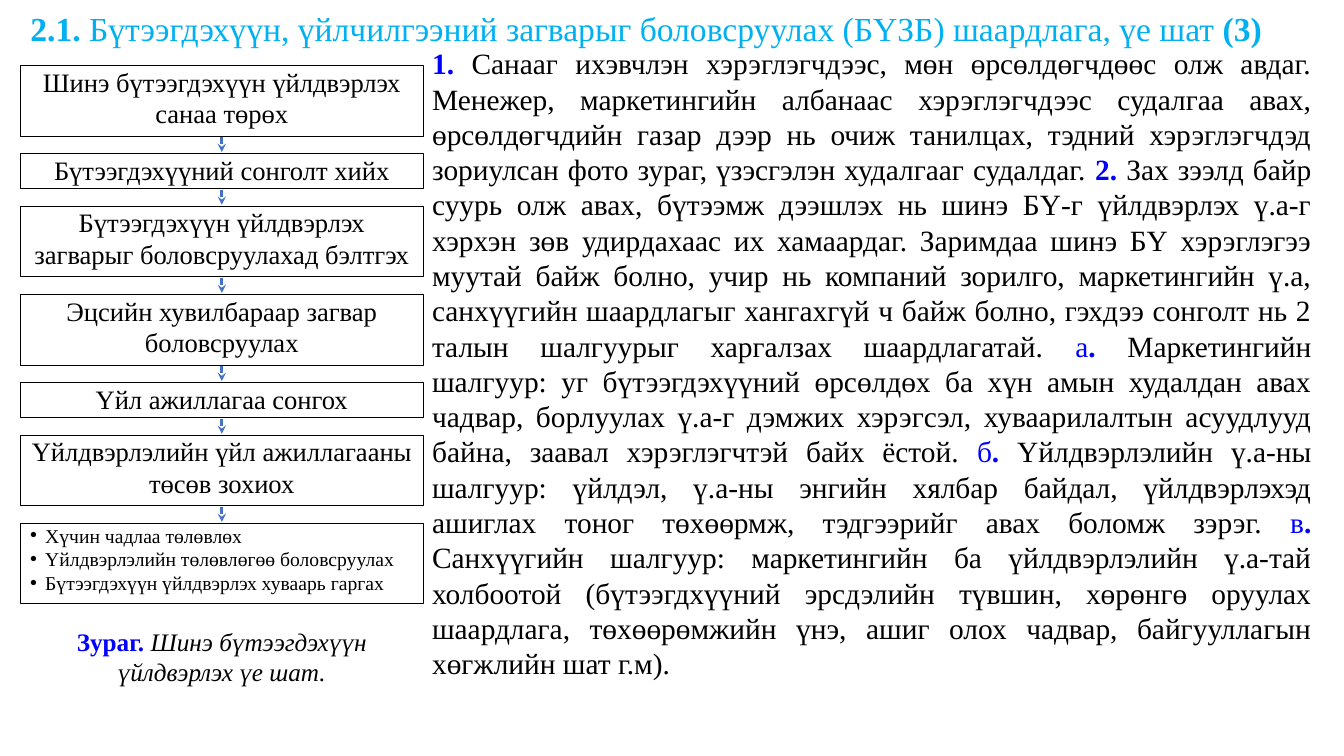
from lxml.etree import SubElement
from pptx import Presentation
from pptx.dml.color import RGBColor
from pptx.enum.shapes import MSO_CONNECTOR as Connector, MSO_SHAPE as Shape
from pptx.enum.text import MSO_ANCHOR as Anchor, MSO_AUTO_SIZE as AutoSize, PP_ALIGN as Align
from pptx.oxml.ns import qn
from pptx.util import Cm, Pt

COLORS = {"title": "00B0F0", "accent": "0000FF", "text": "000000", "arrow": "4472C4"}
FONT = "Times New Roman"
LEFT, WIDTH, TOP, GAP = 0.51, 10.16, 1.65, 0.44
ONE_LINE, TWO_LINES, LIST_HEIGHT = 0.89, 1.78, 2.03
INDENT = Cm(0.38)

STEPS = [
    ("Шинэ бүтээгдэхүүн үйлдвэрлэх санаа төрөх", TWO_LINES),
    ("Бүтээгдэхүүний сонголт хийх", ONE_LINE),
    ("Бүтээгдэхүүн үйлдвэрлэх загварыг боловсруулахад бэлтгэх", TWO_LINES),
    ("Эцсийн хувилбараар загвар боловсруулах", TWO_LINES),
    ("Үйл ажиллагаа сонгох", ONE_LINE),
    ("Үйлдвэрлэлийн үйл ажиллагааны төсөв зохиох", TWO_LINES),
]
PLANS = [
    "Хүчин чадлаа төлөвлөх",
    "Үйлдвэрлэлийн төлөвлөгөө боловсруулах",
    "Бүтээгдэхүүн үйлдвэрлэх хуваарь гаргах",
]

STRONG = {"color": "accent", "bold": True}
LETTER = {"color": "accent"}
TITLE = [
    ("2.1. ", {"bold": True}),
    ("Бүтээгдэхүүн, үйлчилгээний загварыг боловсруулах (БҮЗБ) шаардлага, үе шат ", {}),
    ("(3)", {"bold": True}),
]
CAPTION = [("Зураг. ", STRONG), ("Шинэ бүтээгдэхүүн үйлдвэрлэх үе шат.", {"italic": True})]
BODY = [
    ("1.", STRONG),
    (" Санааг ихэвчлэн хэрэглэгчдээс, мөн өрсөлдөгчдөөс олж авдаг. Менежер, маркетингийн "
     "албанаас хэрэглэгчдээс судалгаа авах, өрсөлдөгчдийн газар дээр нь очиж танилцах, тэдний "
     "хэрэглэгчдэд зориулсан фото зураг, үзэсгэлэн худалгааг судалдаг. ", {}),
    ("2. ", STRONG),
    ("Зах зээлд байр суурь олж авах, бүтээмж дээшлэх нь шинэ БҮ-г үйлдвэрлэх ү.а-г хэрхэн зөв "
     "удирдахаас их хамаардаг. Заримдаа шинэ БҮ хэрэглэгээ муутай байж болно, учир нь компаний "
     "зорилго, маркетингийн ү.а, санхүүгийн шаардлагыг хангахгүй ч байж болно, гэхдээ сонголт "
     "нь 2 талын шалгуурыг харгалзах шаардлагатай. ", {}),
    ("а", LETTER),
    (". ", STRONG),
    ("Маркетингийн шалгуур: уг бүтээгдэхүүний өрсөлдөх ба хүн амын худалдан авах чадвар, "
     "борлуулах ү.а-г дэмжих хэрэгсэл, хуваарилалтын асуудлууд байна, заавал хэрэглэгчтэй "
     "байх ёстой. ", {}),
    ("б", LETTER),
    (". ", STRONG),
    ("Үйлдвэрлэлийн ү.а-ны шалгуур: үйлдэл, ү.а-ны энгийн хялбар байдал, үйлдвэрлэхэд ашиглах "
     "тоног төхөөрмж, тэдгээрийг авах боломж зэрэг. ", {}),
    ("в", LETTER),
    (". ", STRONG),
    ("Санхүүгийн шалгуур: маркетингийн ба үйлдвэрлэлийн ү.а-тай холбоотой (бүтээгдхүүний "
     "эрсдэлийн түвшин, хөрөнгө оруулах шаардлага, төхөөрөмжийн үнэ, ашиг олох чадвар, "
     "байгууллагын хөгжлийн шат г.м). ", {}),
]


def rgb(name):
    return RGBColor.from_string(COLORS[name])


def write(paragraph, text, size, color="text", bold=False, italic=False):
    run = paragraph.add_run()
    run.text = text
    font = run.font
    font.name, font.size, font.bold, font.italic = FONT, Pt(size), bold, italic
    font.color.rgb = rgb(color)


class SlideBuilder:
    def __init__(self, presentation):
        self.slide = presentation.slides.add_slide(presentation.slide_layouts[5])

    def fill_text(self, frame, runs, size, align, color="text"):
        frame.word_wrap = True
        frame.auto_size = AutoSize.NONE
        paragraph = frame.paragraphs[0]
        paragraph.alignment = align
        for text, style in runs:
            write(paragraph, text, size, **{"color": color, **style})
        return paragraph

    def title(self, runs, left, top, width, height):
        shape = self.slide.shapes.title
        shape.left, shape.top, shape.width, shape.height = map(Cm, (left, top, width, height))
        shape.text_frame.vertical_anchor = Anchor.MIDDLE
        paragraph = self.fill_text(shape.text_frame, runs, 24, Align.JUSTIFY, "title")
        paragraph.line_spacing = 0.9

    def text(self, runs, left, top, width, height, size, align):
        shape = self.slide.shapes.add_textbox(*map(Cm, (left, top, width, height)))
        self.fill_text(shape.text_frame, runs, size, align)

    def box(self, top, height):
        shape = self.slide.shapes.add_shape(
            Shape.RECTANGLE, *map(Cm, (LEFT, top, WIDTH, height)))
        shape.shadow.inherit = False
        shape.fill.background()
        shape.line.color.rgb = rgb("text")
        shape.line.width = Pt(0.75)
        frame = shape.text_frame
        frame.word_wrap = True
        frame.vertical_anchor = Anchor.TOP
        frame.margin_top = frame.margin_bottom = 0
        return frame

    def step(self, text, top, height):
        self.fill_text(self.box(top, height), [(text, {})], 19, Align.CENTER)

    def bullets(self, items, top, height):
        frame = self.box(top, height)
        for index, item in enumerate(items):
            paragraph = frame.add_paragraph() if index else frame.paragraphs[0]
            paragraph.alignment = Align.LEFT
            properties = paragraph._p.get_or_add_pPr()
            properties.set("marL", str(INDENT))
            properties.set("indent", str(-INDENT))
            SubElement(properties, qn("a:buFont"), typeface="Arial")
            SubElement(properties, qn("a:buChar"), char="•")
            write(paragraph, item, 14)

    def arrow(self, top, bottom):
        center = LEFT + WIDTH / 2
        connector = self.slide.shapes.add_connector(
            Connector.STRAIGHT, *map(Cm, (center, top, center, bottom)))
        connector.line.color.rgb = rgb("arrow")
        connector.line.width = Pt(2)
        SubElement(connector.line._get_or_add_ln(), qn("a:tailEnd"), type="stealth")
        SubElement(connector._element.spPr, qn("a:effectLst"))


def main():
    presentation = Presentation()
    presentation.slide_width, presentation.slide_height = Cm(33.87), Cm(19.05)
    builder = SlideBuilder(presentation)
    builder.title(TITLE, LEFT, 0, 31.62, 1.55)
    builder.text(BODY, 10.64, 1.02, 22.66, 17.12, 21, Align.JUSTIFY)
    top = TOP
    for text, height in STEPS:
        builder.step(text, top, height)
        bottom = top + height
        top = bottom + GAP
        builder.arrow(bottom + 0.02, top - 0.04)
    builder.bullets(PLANS, top, LIST_HEIGHT)
    builder.text(CAPTION, LEFT, 15.65, WIDTH, 1.24, 18, Align.CENTER)
    presentation.save("out.pptx")


if __name__ == "__main__":
    main()
